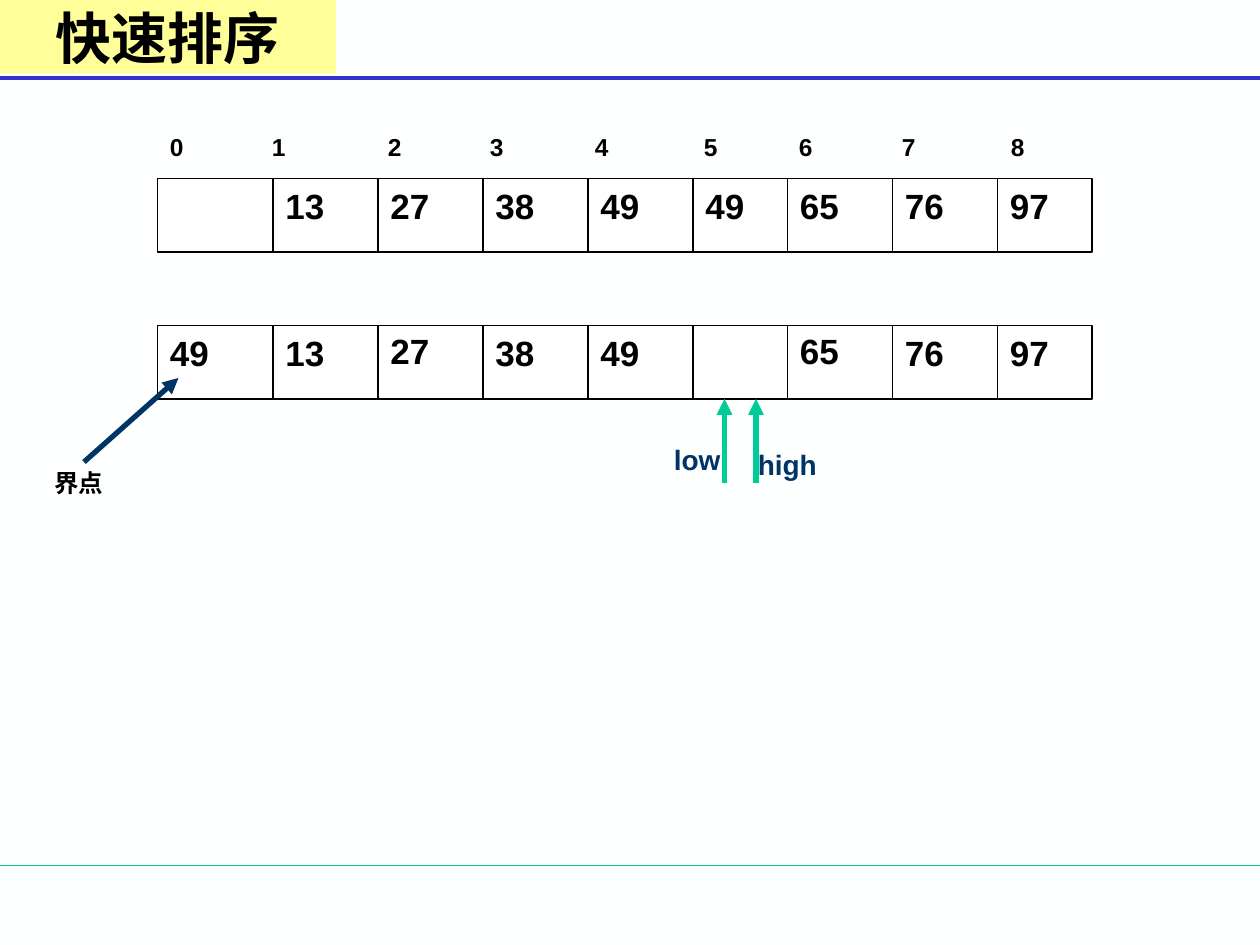
from dataclasses import dataclass

import pptx
import pptx.dml.color
import pptx.enum.shapes
import pptx.enum.text
import pptx.oxml
import pptx.oxml.ns
import pptx.util
from lxml import etree

Pt = pptx.util.Pt
COLORS = {
    "background": "FEFFFF", "white": "FFFFFF", "black": "000000", "title": "FFFF99",
    "rule": "3333CC", "green": "00CC99", "navy": "003366",
}
CELL_EDGES = (90, 156, 216, 276, 336, 396, 450, 510, 570, 624)
ROW_HEIGHT = 42
INDEX_TABS = (58.3, 124.6, 182.9, 242.9, 305.1, 359.4, 418.3, 480.6)


@dataclass
class ArrayRow:
    top: float
    values: tuple[str, ...]
    raised: tuple[int, ...] = ()


@dataclass
class Label:
    text: str
    left: float
    top: float
    width: float
    height: float
    size: float
    color: str = "black"


@dataclass
class Line:
    x1: float
    y1: float
    x2: float
    y2: float
    color: str
    width: float
    arrow: bool = False


ROWS = (
    ArrayRow(186, ("49", "13", "27", "38", "49", "", "65", "76", "97"), (2, 6)),
    ArrayRow(102, ("", "13", "27", "38", "49", "49", "65", "76", "97")),
)
RULES = (Line(0, 494.5, 720, 494.5, "green", 0.75), Line(0, 44.64, 720, 44.64, "rule", 2.25))
POINTERS = (
    (Line(432, 276, 432, 228, "green", 3, True), Label("high", 426, 252, 66, 26.6, 16, "navy")),
    (Line(414, 276, 414, 228, "green", 3, True), Label("low", 378, 249.5, 66, 26.6, 16, "navy")),
    (Line(48, 264, 102, 216, "navy", 3, True), Label("界点", 24, 264, 60, 24.5, 14)),
)


def rgb(name: str) -> pptx.dml.color.RGBColor:
    """Return the named colour."""
    return pptx.dml.color.RGBColor.from_string(COLORS[name])


def style_text(p, size: float, color: str, font: str = "Arial") -> None:
    """Format every run of a paragraph in bold."""
    for r in p.runs:
        r.font.size = Pt(size)
        r.font.name = font
        r.font.bold = True
        r.font.color.rgb = rgb(color)


def add_line(s, line: Line) -> None:
    """Draw a straight line, with an arrowhead at its end if asked."""
    c = s.shapes.add_connector(
        pptx.enum.shapes.MSO_CONNECTOR.STRAIGHT,
        Pt(line.x1), Pt(line.y1), Pt(line.x2), Pt(line.y2))
    c.line.color.rgb = rgb(line.color)
    c.line.width = Pt(line.width)
    qn = pptx.oxml.ns.qn
    if line.arrow:
        etree.SubElement(c.line._get_or_add_ln(), qn("a:tailEnd"), type="triangle")
    etree.SubElement(c._element.spPr, qn("a:effectLst"))


def add_label(s, label: Label, tabs: tuple[float, ...] = ()) -> None:
    """Add a bold text box with optional left tab stops."""
    sp = s.shapes.add_textbox(Pt(label.left), Pt(label.top), Pt(label.width), Pt(label.height))
    tf = sp.text_frame
    tf.text = label.text
    tf.word_wrap = True
    tf.auto_size = pptx.enum.text.MSO_AUTO_SIZE.SHAPE_TO_FIT_TEXT
    p = tf.paragraphs[0]
    if tabs:
        qn = pptx.oxml.ns.qn
        tab_list = etree.SubElement(p._p.get_or_add_pPr(), qn("a:tabLst"))
        for pos in tabs:
            etree.SubElement(tab_list, qn("a:tab"), pos=str(int(Pt(pos))), algn="l")
    style_text(p, label.size, label.color)


def add_rect(s, left: float, top: float, width: float, height: float, fill: str):
    """Add a plain filled rectangle without a shadow."""
    sp = s.shapes.add_shape(
        pptx.enum.shapes.MSO_SHAPE.RECTANGLE, Pt(left), Pt(top), Pt(width), Pt(height))
    sp.shadow.inherit = False
    sp.fill.solid()
    sp.fill.fore_color.rgb = rgb(fill)
    return sp


def add_row(s, row: ArrayRow) -> None:
    """Draw an array as a frame with dividers and values."""
    left, right = CELL_EDGES[0], CELL_EDGES[-1]
    sp = add_rect(s, left, row.top, right - left, ROW_HEIGHT, "white")
    sp.line.color.rgb = rgb("black")
    sp.line.width = Pt(0.75)
    for x in CELL_EDGES[1:-1]:
        add_line(s, Line(x, row.top, x, row.top + ROW_HEIGHT, "black", 0.75))
    for i, (x, value) in enumerate(zip(CELL_EDGES, row.values)):
        if value:
            top = row.top - 1 if i in row.raised else row.top
            add_label(s, Label(value, x, top, 48, 31.5, 20))


def add_title(s) -> None:
    """Add the title band."""
    sp = add_rect(s, 0, 0, 192, 42, "title")
    sp.line.fill.background()
    tf = sp.text_frame
    tf.text = "快速排序"
    tf.vertical_anchor = pptx.enum.text.MSO_ANCHOR.MIDDLE
    p = tf.paragraphs[0]
    p.alignment = pptx.enum.text.PP_ALIGN.CENTER
    style_text(p, 32, "black", "Times New Roman")


def main() -> None:
    """Build the quicksort slide."""
    prs = pptx.Presentation()
    prs.slide_width, prs.slide_height = Pt(720), Pt(540)
    s = prs.slides.add_slide(prs.slide_layouts[6])
    s.background.fill.solid()
    s.background.fill.fore_color.rgb = rgb("background")
    for rule in RULES:
        add_line(s, rule)
    for row in ROWS:
        add_row(s, row)
    indices = "\t".join(str(i) for i in range(len(CELL_EDGES) - 1))
    add_label(s, Label(indices, 90, 72, 534, 24.5, 14), INDEX_TABS)
    for line, label in POINTERS:
        add_line(s, line)
        add_label(s, label)
    add_title(s)
    prs.save("out.pptx")


if __name__ == "__main__":
    main()
